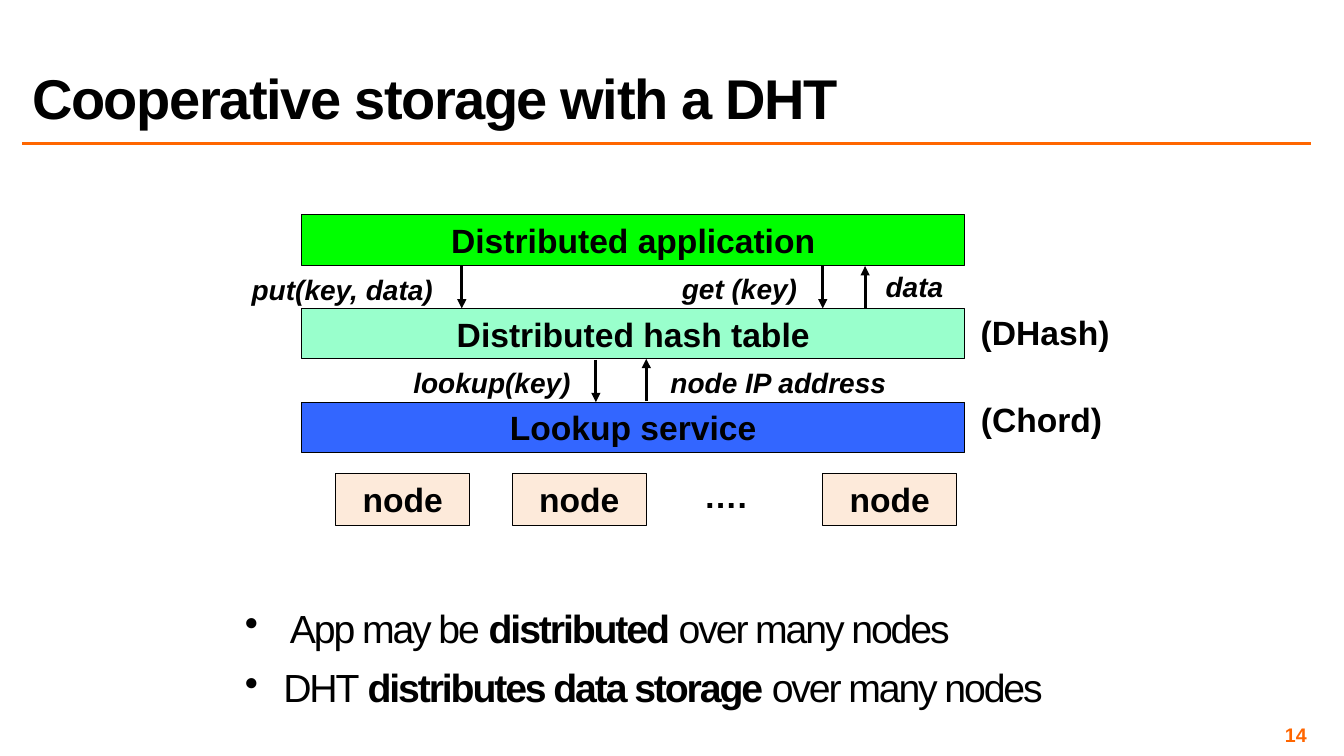
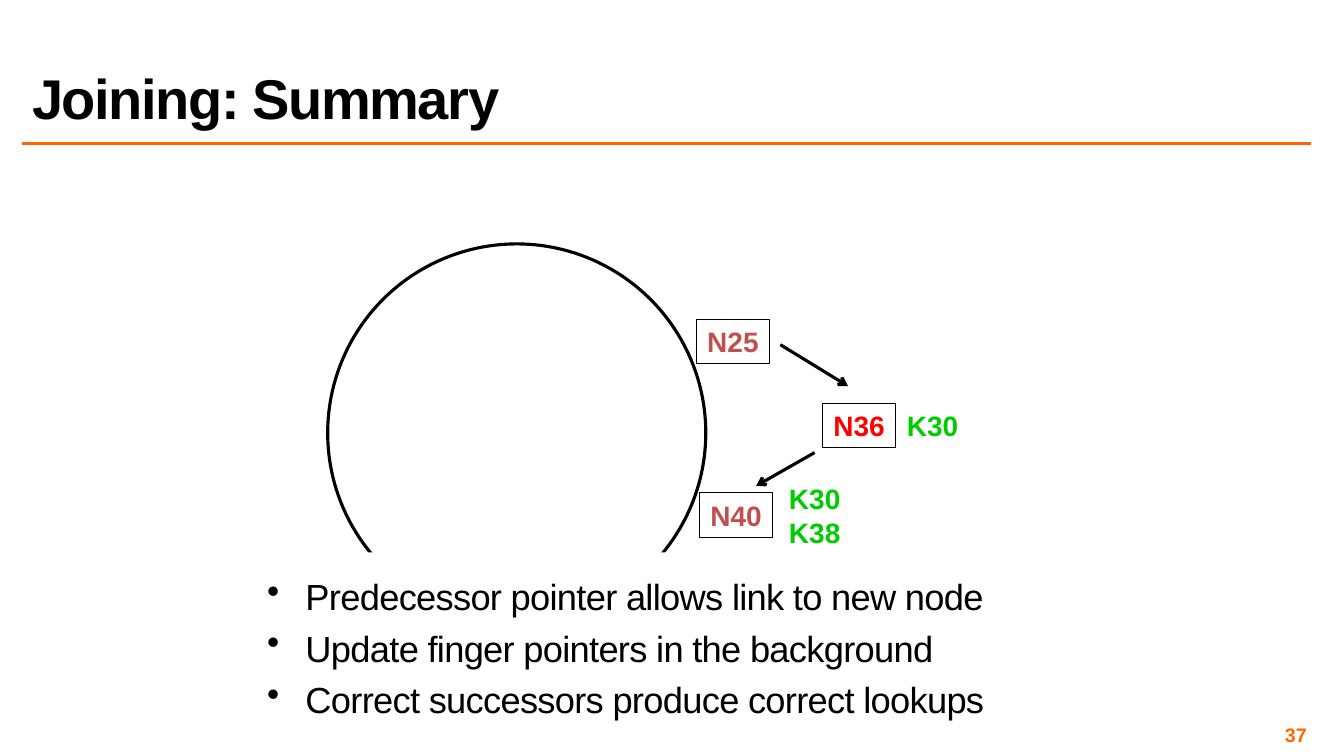
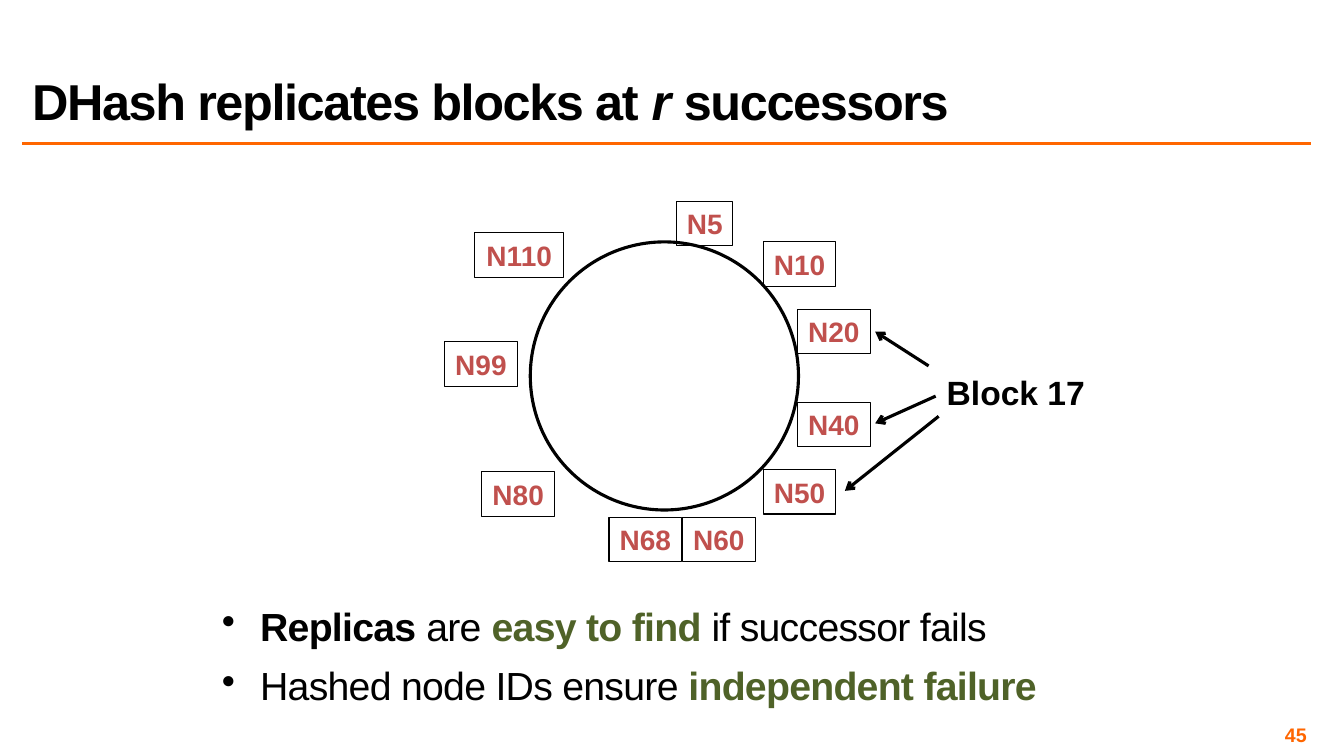
import lxml.etree
import pptx
import pptx.dml.color
import pptx.enum.shapes
import pptx.enum.text
import pptx.oxml.ns
import pptx.util

Inches = pptx.util.Inches
Pt = pptx.util.Pt
qn = pptx.oxml.ns.qn
Align = pptx.enum.text.PP_ALIGN
Anchor = pptx.enum.text.MSO_ANCHOR
Shape = pptx.enum.shapes.MSO_SHAPE


class Theme:
    font = "Arial"
    black = pptx.dml.color.RGBColor.from_string("000000")
    white = pptx.dml.color.RGBColor.from_string("FFFFFF")
    orange = pptx.dml.color.RGBColor.from_string("FF6600")
    lime = pptx.dml.color.RGBColor.from_string("00FF00")
    mint = pptx.dml.color.RGBColor.from_string("99FFCC")
    blue = pptx.dml.color.RGBColor.from_string("3366FF")
    peach = pptx.dml.color.RGBColor.from_string("FDEADA")
    brick = pptx.dml.color.RGBColor.from_string("C0504D")
    red = pptx.dml.color.RGBColor.from_string("FF0000")
    green = pptx.dml.color.RGBColor.from_string("00CC00")
    olive = pptx.dml.color.RGBColor.from_string("4F6228")
    label = 24
    small = 20
    foot = 14
    thin = 0.75
    thick = 2.25
    rule = 2


def put(slide, box, lines, size, ink=Theme.black, bold=True, italic=False,
        align=Align.CENTER, anchor=Anchor.MIDDLE, pad=(0, 0), fill=None,
        edge=None, form=None, track=0, lead=None):
    """Add a text box, or a preset shape if form is given.

    A line is a string or a list of (text, font settings) runs.
    """
    area = [Inches(n) for n in box]
    if form is None:
        shape = slide.shapes.add_textbox(*area)
    else:
        shape = slide.shapes.add_shape(form, *area)
        shape.shadow.inherit = False
        if edge:
            shape.line.color.rgb = Theme.black
            shape.line.width = Pt(edge)
        else:
            shape.line.fill.background()
        if fill is None:
            shape.fill.background()
        else:
            shape.fill.solid()
            shape.fill.fore_color.rgb = fill
    frame = shape.text_frame
    frame.word_wrap = True
    frame.vertical_anchor = anchor
    frame.margin_left = frame.margin_right = Inches(pad[0])
    frame.margin_top = frame.margin_bottom = Inches(pad[1])
    for i, line in enumerate(lines):
        para = frame.add_paragraph() if i else frame.paragraphs[0]
        para.alignment = align
        para.line_spacing = lead
        font = para.font
        font.name, font.size, font.italic = Theme.font, Pt(size), italic
        font.bold, font.color.rgb = bold, ink
        if track:
            font._element.set("spc", str(round(track * 100)))
        for text, look in [(line, {})] if isinstance(line, str) else line:
            run = para.add_run()
            run.text = text
            if "bold" in look:
                run.font.bold = look["bold"]
            if "italic" in look:
                run.font.italic = look["italic"]
            if "ink" in look:
                run.font.color.rgb = look["ink"]
    return frame


def link(slide, start, end, head=None, ink=Theme.black, width=Theme.thick):
    ends = [Inches(n) for n in (*start, *end)]
    line = slide.shapes.add_connector(
        pptx.enum.shapes.MSO_CONNECTOR.STRAIGHT, *ends)
    line.line.color.rgb = ink
    line.line.width = Pt(width)
    if head:
        stroke = line.line._get_or_add_ln()
        lxml.etree.SubElement(stroke, qn("a:tailEnd")).set("type", head)
    lxml.etree.SubElement(line._element.spPr, qn("a:effectLst"))


deck = pptx.Presentation()
deck.slide_width = Inches(13.33)
deck.slide_height = Inches(7.5)

# Title, rule and page number
slides = []
for title, size, page in [
    ("Cooperative storage with a DHT", 40, "14"),
    ("Joining: Summary", 40, "37"),
    ([("DHash replicates blocks at ", {}), ("r", {"italic": True}),
      (" successors", {})], 36, "45"),
]:
    slide = deck.slides.add_slide(deck.slide_layouts[6])
    slides.append(slide)
    link(slide, (0.22, 1.42), (13, 1.42), ink=Theme.orange, width=Theme.rule)
    put(slide, (0.22, 0.17, 12.77, 1.17), [title], size, align=Align.LEFT,
        anchor=Anchor.BOTTOM, pad=(0.1, 0.05), track=-1, lead=0.8)
    put(slide, (9.89, 7.17, 3.11, 0.23), [page], Theme.foot, Theme.orange,
        align=Align.RIGHT, pad=(0.04, 0))
stack, join, ring = slides

# Layers of the storage stack
for i, (text, fill) in enumerate([
    ("Distributed application", Theme.lime),
    ("Distributed hash table", Theme.mint),
    ("Lookup service", Theme.blue),
]):
    put(stack, (2.99, 2.13 + 0.93 * i, 6.58, 0.5), [text], Theme.label,
        fill=fill, edge=Theme.thin, form=Shape.RECTANGLE)
for left in (3.33, 5.08, 8.16):
    put(stack, (left, 4.7, 1.33, 0.51), ["node"], Theme.label,
        fill=Theme.peach, edge=Theme.thin, form=Shape.RECTANGLE)
for text, box in [
    ("….", (6.88, 4.66, 0.63, 0.51)),
    ("(DHash)", (9.62, 3.04, 1.49, 0.5)),
    ("(Chord)", (9.62, 3.91, 1.42, 0.5)),
]:
    put(stack, box, [text], Theme.label)
for text, left, top, width in [
    ("put(key, data)", 2.39, 2.65, 2.01),
    ("get (key)", 6.66, 2.64, 1.35),
    ("data", 8.68, 2.62, 0.78),
    ("lookup(key)", 3.99, 3.57, 1.78),
    ("node IP address", 6.54, 3.57, 2.36),
]:
    put(stack, (left, top, width, 0.44), [text], Theme.small, italic=True)
for x, start, end in [
    (4.58, 2.64, 3.06), (8.16, 2.64, 3.06), (8.58, 3.06, 2.64),
    (5.91, 3.57, 3.99), (6.41, 3.98, 3.56),
]:
    link(stack, (x, start), (x, end), "triangle")

# Rings with their nodes
for slide, left, top, size in [(join, 3.25, 2.42, 3.75),
                               (ring, 5.26, 2.4, 2.66)]:
    put(slide, (left, top, size, size), [], Theme.small,
        edge=Theme.thick, form=Shape.OVAL)
for slide, name, left, top, ink in [
    (join, "N25", 6.91, 3.17, Theme.brick),
    (join, "N36", 8.16, 4, Theme.red),
    (join, "N40", 6.94, 4.89, Theme.brick),
    (ring, "N5", 6.71, 2, Theme.brick),
    (ring, "N10", 7.57, 2.4, Theme.brick),
    (ring, "N20", 7.91, 3.07, Theme.brick),
    (ring, "N40", 7.91, 3.99, Theme.brick),
    (ring, "N50", 7.57, 4.66, Theme.brick),
    (ring, "N60", 6.77, 5.13, Theme.brick),
    (ring, "N68", 6.04, 5.13, Theme.brick),
    (ring, "N80", 4.78, 4.68, Theme.brick),
    (ring, "N99", 4.41, 3.39, Theme.brick),
    (ring, "N110", 4.71, 2.31, Theme.brick),
]:
    put(slide, (left, top, 0.24 + 0.16 * len(name), 0.44), [name],
        Theme.small, ink, edge=Theme.thin, form=Shape.RECTANGLE)
put(join, (8.89, 4, 0.72, 0.44), ["K30"], Theme.small, Theme.green)
put(join, (7.72, 4.73, 0.72, 0.77), ["K30", "K38"], Theme.small, Theme.green)
put(ring, (9.13, 3.63, 1.89, 0.51), ["Block 17"], Theme.label)
for slide, start, end in [
    (join, (7.74, 3.42), (8.41, 3.83)),
    (join, (8.08, 4.49), (7.5, 4.82)),
    (ring, (9.21, 3.63), (8.68, 3.29)),
    (ring, (9.28, 3.93), (8.68, 4.2)),
    (ring, (9.31, 4.13), (8.38, 4.87)),
]:
    link(slide, start, end, "arrow")

# Bullet lists
strong = {"bold": True}
plain = {"bold": False}
accent = {"bold": True, "ink": Theme.olive}
for slide, box, size, track, lead, inset, form, lines in [
    (stack, (2.39, 6.01, 9.03, 1.07), 28, -1.5, 0.9, 0.04, None, [
        [(" App may be ", plain), ("distributed", strong),
         (" over many nodes", plain)],
        [("DHT ", plain), ("distributes data storage ", strong),
         ("over many nodes", plain)],
    ]),
    (join, (2.61, 5.48, 9.38, 1.77), 25.9, -0.5, 0.8, 0.3, Shape.RECTANGLE, [
        "Predecessor pointer allows link to new node",
        "Update finger pointers in the background",
        "Correct successors produce correct lookups",
    ]),
    (ring, (2.16, 5.99, 9.25, 1.09), 28, -0.5, 0.9, 0.04, None, [
        [("Replicas", strong), (" are ", plain), ("easy to find ", accent),
         ("if successor fails", plain)],
        [("Hashed node IDs ensure ", plain), ("independent failure", accent)],
    ]),
]:
    frame = put(slide, box, lines, size, bold=False, align=Align.LEFT,
                anchor=Anchor.TOP, pad=(0.04, 0.04), fill=Theme.white,
                form=form, track=track, lead=lead)
    frame.margin_top = Inches(inset)
    for i, para in enumerate(frame.paragraphs):
        para.space_before = Pt(12 if i else 0)
        props = para._p.get_or_add_pPr()
        props.set("marL", str(Inches(0.38)))
        props.set("indent", str(-Inches(0.38)))
        mark = lxml.etree.Element(qn("a:buChar"))
        mark.set("char", "•")
        props.insert_element_before(mark, "a:tabLst", "a:defRPr", "a:extLst")

deck.save("out.pptx")
